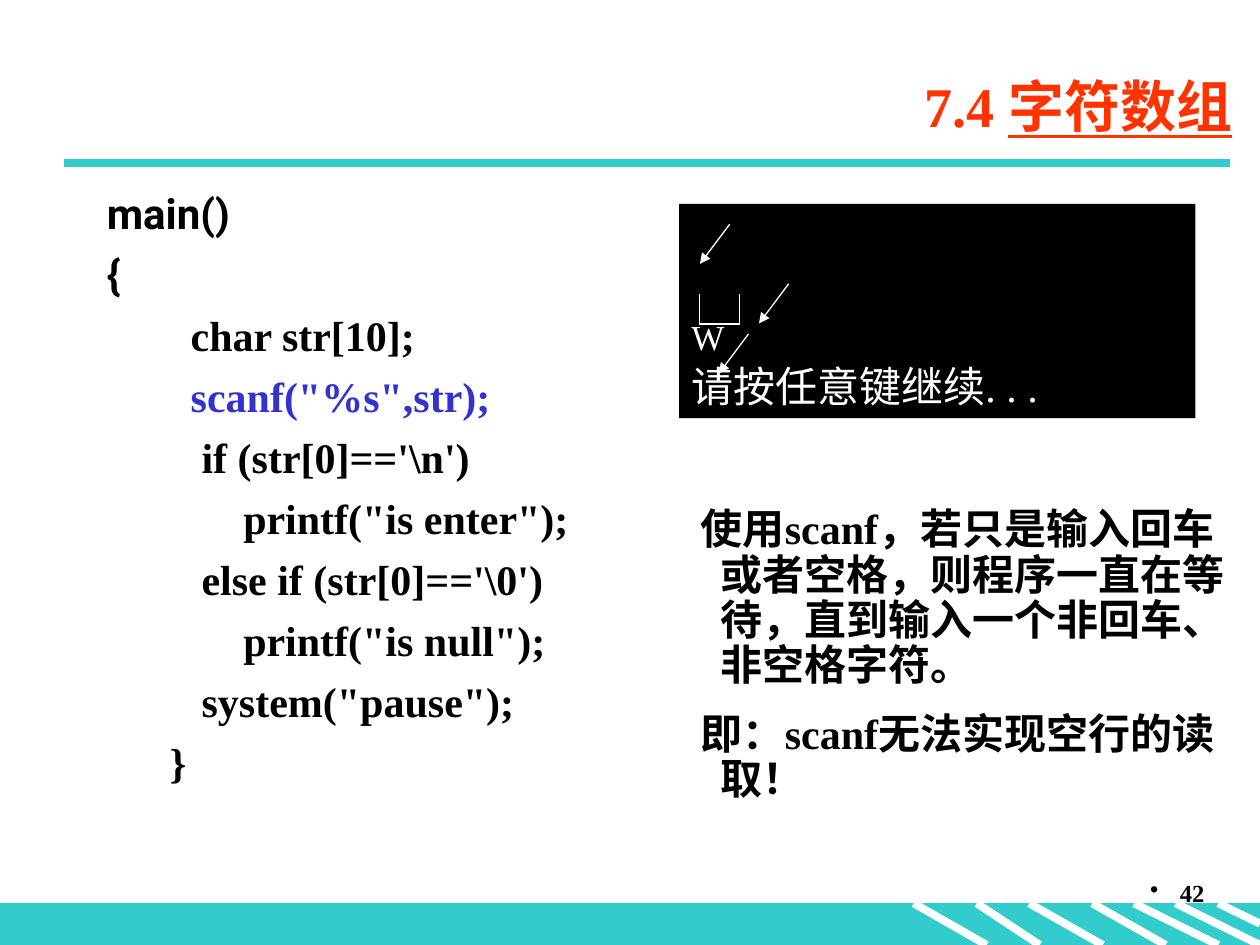
from itertools import pairwise

from lxml import etree
from pptx import Presentation
from pptx import util as u
from pptx.dml.color import RGBColor
from pptx.enum import shapes, text
from pptx.oxml.ns import qn

SERIF = "Times New Roman"
TEAL, WHITE, BLACK, BLUE, RED = "33CCCC", "FFFFFF", "000000", "3333CC", "FF3300"


def write(paragraph, words, size=24, font=SERIF, color=BLACK, bold=True, underline=None,
          align=None, before=0, spacing=1.0, margin=0, indent=0, bullet=None):
    """Add a formatted run and set the paragraph's format; margin and indent in cm."""
    run = paragraph.add_run()
    run.text = words
    run.font.size = u.Pt(size)
    run.font.name = font
    run.font.bold = bold
    run.font.underline = underline
    run.font.color.rgb = RGBColor.from_string(color)
    paragraph.alignment = align or text.PP_ALIGN.LEFT
    paragraph.space_before = u.Pt(before)
    paragraph.line_spacing = spacing
    properties = paragraph._p.get_or_add_pPr()
    properties.set("marL", str(u.Cm(margin)))
    properties.set("indent", str(u.Cm(indent)))
    for tag in ("a:buNone", "a:buChar"):
        for old in properties.findall(qn(tag)):
            properties.remove(old)
    if bullet:
        etree.SubElement(properties, qn("a:buChar")).set("char", bullet)
    else:
        etree.SubElement(properties, qn("a:buNone"))


def draw_line(start, end, color=WHITE, width=0.75, arrow=False):
    line = slide.shapes.add_connector(
        shapes.MSO_CONNECTOR.STRAIGHT, *(u.Cm(value) for value in (*start, *end)))
    line.line.color.rgb = RGBColor.from_string(color)
    line.line.width = u.Pt(width)
    if arrow:
        etree.SubElement(line.line._get_or_add_ln(), qn("a:tailEnd")).set("type", "triangle")
    etree.SubElement(line._element.spPr, qn("a:effectLst"))


presentation = Presentation()
presentation.slide_width = u.Cm(25.4)
presentation.slide_height = u.Cm(19.05)
slide = presentation.slides.add_slide(presentation.slide_layouts[1])

# Title and rule
title = slide.shapes.title
title.left, title.top, title.width, title.height = map(u.Cm, (3.51, 1.12, 21.59, 2.01))
title.text_frame.auto_size = text.MSO_AUTO_SIZE.NONE
title.text_frame.vertical_anchor = text.MSO_ANCHOR.MIDDLE
heading = title.text_frame.paragraphs[0]
for words, underline in (("7.4 ", None), ("字符数组", True)):
    write(heading, words, size=32, color=RED, underline=underline, align=text.PP_ALIGN.RIGHT)
draw_line((1.3, 3.28), (24.79, 3.28), TEAL, 4.5)

# Program listing: text, left margin in cm, font, colour
body = slide.placeholders[1]
body.left, body.top, body.width, body.height = map(u.Cm, (1.9, 3.66, 21.59, 12.8))
body.text_frame.auto_size = text.MSO_AUTO_SIZE.NONE
code_lines = [
    ("main()", 0, "Roboto", BLACK),
    ("{", 0, "Roboto", BLACK),
    ("char str[10];", 1.69, SERIF, BLACK),
    ('scanf("%s",str);', 1.69, SERIF, BLUE),
    ("if (str[0]=='\\n')", 1.91, SERIF, BLACK),
    ('printf("is enter");', 2.75, SERIF, BLACK),
    ("else if (str[0]=='\\0')", 1.91, SERIF, BLACK),
    ('printf("is null");', 2.75, SERIF, BLACK),
    ('system("pause");', 1.91, SERIF, BLACK),
    ("}", 1.27, SERIF, BLACK),
]
for number, (words, margin, font, color) in enumerate(code_lines):
    frame = body.text_frame
    paragraph = frame.add_paragraph() if number else frame.paragraphs[0]
    paragraph.level = 1 if margin else 0
    write(paragraph, words, font=font, color=color, margin=margin, before=6 if number else 0)

# Explanation
note = slide.shapes.add_textbox(*map(u.Cm, (13.31, 10.13, 12.09, 6.3))).text_frame
note.word_wrap = True
remarks = [
    "使用scanf，若只是输入回车或者空格，则程序一直在等待，直到输入一个非回车、非空格字符。",
    "即：scanf无法实现空行的读取！",
]
for number, words in enumerate(remarks):
    paragraph = note.add_paragraph() if number else note.paragraphs[0]
    write(paragraph, words, spacing=0.9, before=13 if number else 0, margin=0.97, indent=-0.4)

# Console window with key marks
console = slide.shapes.add_shape(
    shapes.MSO_SHAPE.RECTANGLE, *map(u.Cm, (13.69, 4.11, 10.41, 4.32)))
console.shadow.inherit = False
console.fill.solid()
console.fill.fore_color.rgb = RGBColor.from_string(BLACK)
console.line.fill.background()
output = console.text_frame
output.word_wrap = True
output.vertical_anchor = text.MSO_ANCHOR.BOTTOM
write(output.paragraphs[0], "W", size=20, color=WHITE, bold=False, spacing=0.9)
write(output.add_paragraph(), "请按任意键继续. . .", color=WHITE, bold=False,
      spacing=0.9, before=5)
for x, y in ((15.09, 6.73), (15.9, 5.72), (14.71, 4.52)):
    draw_line((x, y), (x - 0.6, y + 0.8), arrow=True)
space_mark = [(14.1, 5.92), (14.1, 6.53), (14.91, 6.53), (14.91, 5.92)]
for start, end in pairwise(space_mark):
    draw_line(start, end)

# Footer band, stripes and page number
band = slide.shapes.add_shape(
    shapes.MSO_SHAPE.RECTANGLE, *map(u.Cm, (0, 18.21, 25.4, 0.84)))
band.shadow.inherit = False
band.fill.solid()
band.fill.fore_color.rgb = RGBColor.from_string(TEAL)
band.line.color.rgb = RGBColor.from_string(TEAL)
band.line.width = u.Pt(0.75)
stripes = [(18.42, 19.89), (19.69, 20.96), (20.75, 22.23), (22.02, 23.5),
           (22.86, 24.56), (23.7, 25.4)]
for left, right in stripes:
    draw_line((left, 18.21), (right, 19.05), width=4.5)
draw_line((24.56, 18.21), (25.4, 18.62), width=4.5)
page = slide.shapes.add_textbox(*map(u.Cm, (19.25, 17.58, 5.28, 1.27))).text_frame
page.word_wrap = True
write(page.paragraphs[0], "42", size=14, align=text.PP_ALIGN.RIGHT,
      margin=0.6, indent=-0.6, bullet="•")

presentation.save("out.pptx")
